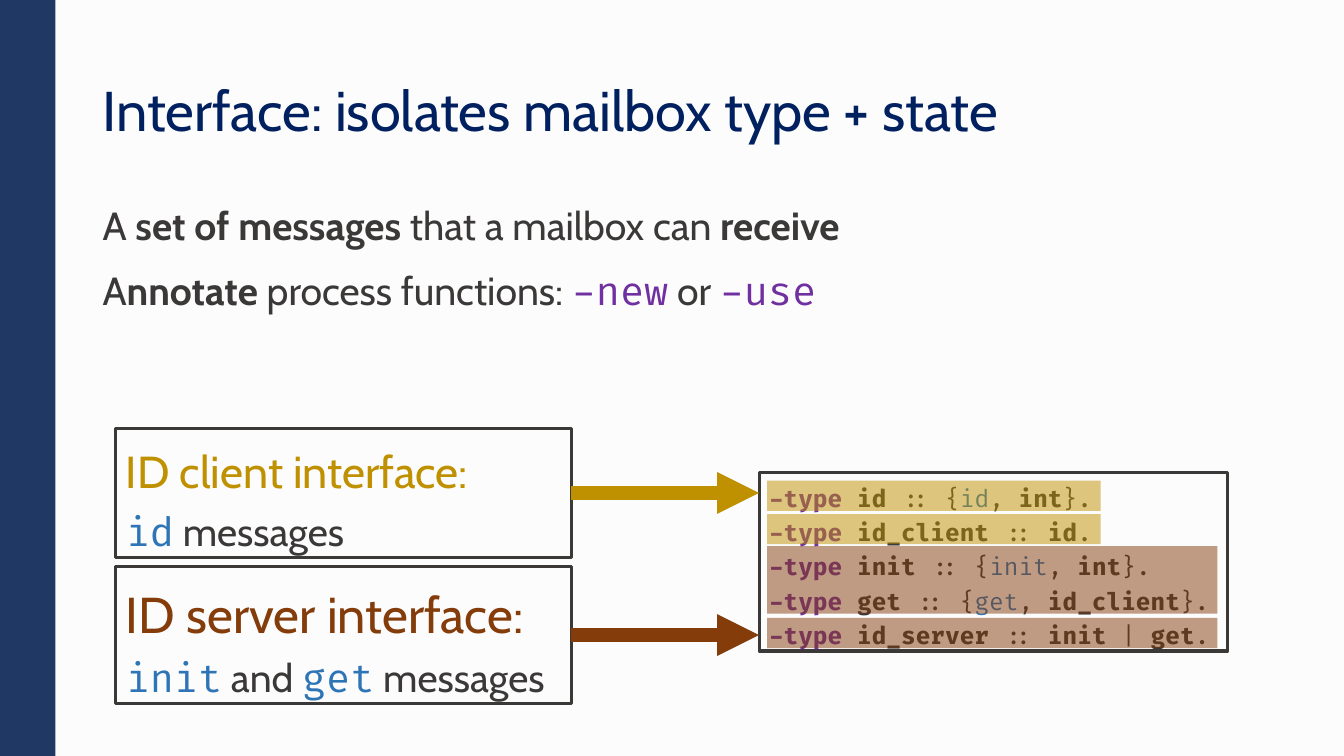
from pptx import Presentation
from pptx.dml.color import RGBColor
from pptx.enum.shapes import MSO_CONNECTOR, MSO_SHAPE
from pptx.enum.text import MSO_ANCHOR
from pptx.oxml.ns import qn
from pptx.util import Pt
from lxml.etree import SubElement

INK, NAVY, BAND, PAPER = "3B3838", "002060", "203864", "FCFCFC"
PURPLE, BLUE, GOLD, BROWN = "7030A0", "2E75B6", "BF9000", "843C0B"
SANS, MONO = "Cabin", "Fira Code"

# A run is (text, style); a style is (font, colour, bold)
TEXT, BOLD = (SANS, INK, False), (SANS, INK, True)
FLAG, ATOM = (MONO, PURPLE, False), (MONO, BLUE, False)
WORD, NAME, MARK = (MONO, PURPLE, True), (MONO, INK, True), (MONO, INK, False)

TITLE = [("Interface: isolates mailbox type + state", (SANS, NAVY, False))]
BODY = [
    [("A ", TEXT), ("set of messages ", BOLD), ("that a mailbox can ", TEXT),
     ("receive", BOLD)],
    [("A", TEXT), ("nnotate", BOLD), (" process functions: ", TEXT),
     ("-new", FLAG), (" or ", TEXT), ("-use", FLAG)],
]
# Each type: its name, then the parts of its definition
TYPES = [
    ("id", [("{", MARK), ("id", ATOM), (", ", MARK), ("int", NAME), ("}.", MARK)]),
    ("id_client", [("id", NAME), (".", MARK)]),
    ("init", [("{", MARK), ("init", ATOM), (", ", MARK), ("int", NAME), ("}.", MARK)]),
    ("get", [("{", MARK), ("get", ATOM), (", ", MARK), ("id_client", NAME),
             ("}.", MARK)]),
    ("id_server", [("init", NAME), (" | ", MARK), ("get", NAME), (".", MARK)]),
]
# Interface: heading, heading size, colour, messages, top, height, arrow height
SIDES = [
    ("ID client interface:", 32, GOLD,
     [("id", ATOM), (" messages", TEXT)], 306, 92.2, 352.1),
    ("ID server interface:", 36, BROWN,
     [("init", ATOM), (" and ", TEXT), ("get", ATOM), (" messages", TEXT)],
     404.6, 98, 453.6),
]
# Highlight: top, width, height, colour
GLOWS = [
    (441.4, 321.8, 21.6, BROWN),
    (367.2, 238.3, 21.6, GOLD),
    (390.2, 321.8, 48.2, BROWN),
    (343.4, 238.3, 21.6, GOLD),
]
LEFT, WIDE = 82.8, 325.4
CODE = (542.2, 337.7, 334.8, 127.4)
GLOW_X = 547.9


def color(code):
    return RGBColor.from_string(code)


def write(frame, rows, sizes, space, before=0):
    """Fill a text frame with rows of styled runs, one size per row."""
    frame.word_wrap = True
    for i, (row, size) in enumerate(zip(rows, sizes)):
        para = frame.paragraphs[0] if i == 0 else frame.add_paragraph()
        para.line_spacing = space
        para.space_before = Pt(before if i else 0)
        para.alignment = 1
        para.font.size = Pt(size)
        styles = [style for _, style in row]
        fonts = {style[0] for style in styles}
        if len(fonts) == 1:
            para.font.name = styles[0][0]
        for text, (font, ink, bold) in row:
            run = para.add_run()
            run.text = text
            run.font.bold = bold
            run.font.color.rgb = color(ink)
            if len(fonts) > 1:
                run.font.name = font


def box(slide, x, y, w, h, fill=None, line=None, alpha=None):
    shape = slide.shapes.add_shape(MSO_SHAPE.RECTANGLE, Pt(x), Pt(y), Pt(w), Pt(h))
    shape.shadow.inherit = False
    if fill:
        shape.fill.solid()
        shape.fill.fore_color.rgb = color(fill)
    else:
        shape.fill.background()
    if line:
        shape.line.color.rgb = color(line)
        shape.line.width = Pt(2.25)
    else:
        shape.line.fill.background()
    if alpha:
        tint = shape.fill._xPr.find(qn("a:solidFill"))[0]
        SubElement(tint, qn("a:alpha"), val=str(alpha * 1000))
    shape.text_frame.vertical_anchor = MSO_ANCHOR.TOP
    return shape


def label(slide, x, y, w, h):
    return slide.shapes.add_textbox(Pt(x), Pt(y), Pt(w), Pt(h)).text_frame


def arrow(slide, x, end, y, ink):
    link = slide.shapes.add_connector(
        MSO_CONNECTOR.STRAIGHT, Pt(x), Pt(y), Pt(end), Pt(y))
    link.line.color.rgb = color(ink)
    link.line.width = Pt(10)
    SubElement(link.line._get_or_add_ln(), qn("a:tailEnd"), type="triangle")
    SubElement(link._element.spPr, qn("a:effectLst"))


def main():
    deck = Presentation()
    deck.slide_width, deck.slide_height = Pt(960), Pt(540)
    slide = deck.slides.add_slide(deck.slide_layouts[6])
    slide.background.fill.solid()
    slide.background.fill.fore_color.rgb = color(PAPER)
    box(slide, 0, 0, 39.6, 540, BAND)

    title = label(slide, 66.2, 28.8, 850.3, 104.4)
    title.vertical_anchor = MSO_ANCHOR.MIDDLE
    write(title, [TITLE], [40], 0.9)
    write(label(slide, 66.2, 144, 828, 133.2), BODY, [28, 28], 0.9, 16)

    code = [[("-type ", WORD), (name, NAME), (" :: ", MARK), *parts]
            for name, parts in TYPES]
    write(box(slide, *CODE, line=INK).text_frame, code, [17] * len(code), 1.2)
    for y, w, h, ink in GLOWS:
        box(slide, GLOW_X, y, w, h, ink, alpha=50)

    for head, size, ink, notes, y, h, mid in SIDES:
        side = box(slide, LEFT, y, WIDE, h, line=INK)
        write(side.text_frame, [[(head, (SANS, ink, False))], notes], [size, 28], 1.2)
        arrow(slide, LEFT + WIDE, CODE[0], mid, ink)

    deck.save("out.pptx")


if __name__ == "__main__":
    main()
